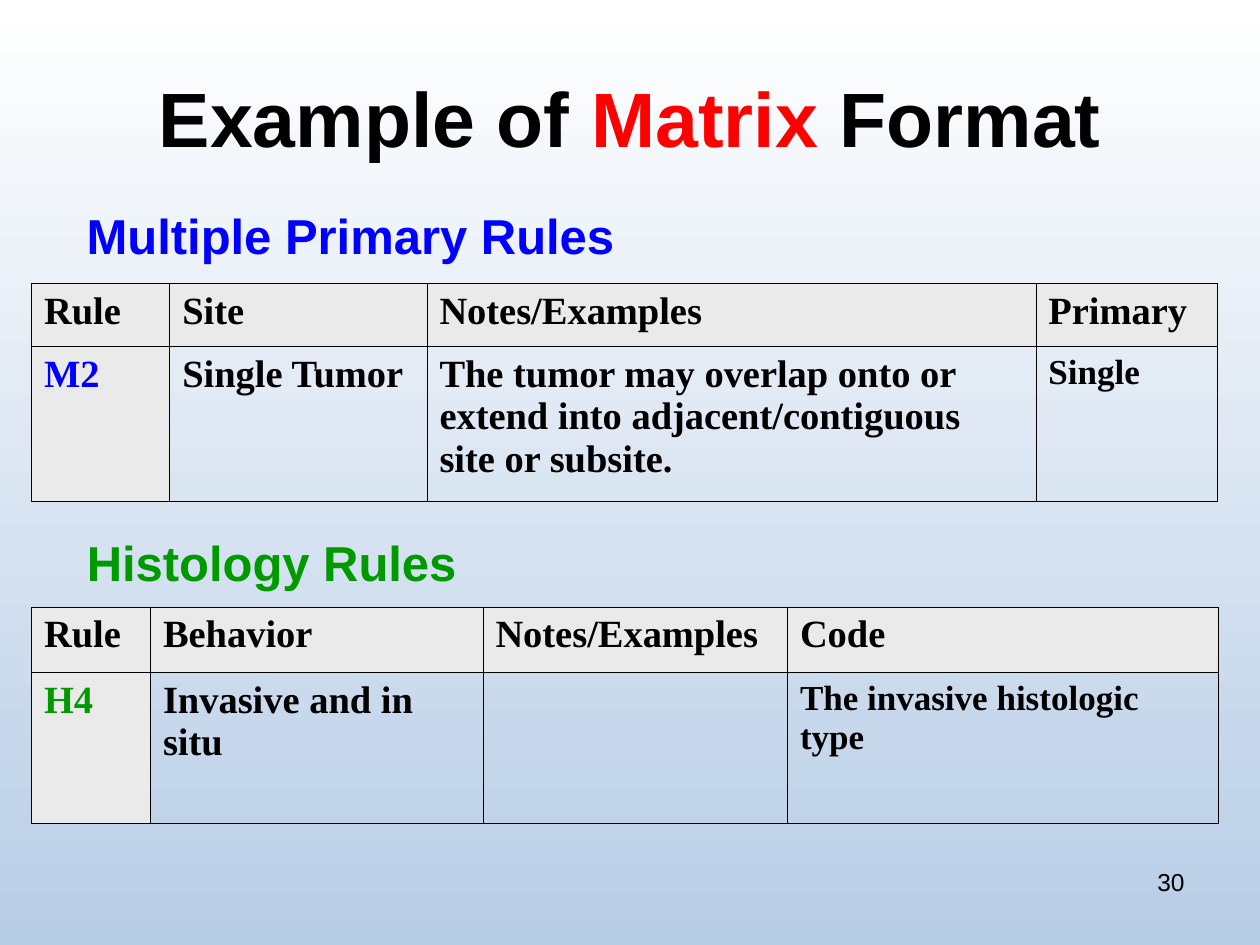
from dataclasses import dataclass

from lxml.etree import SubElement
from pptx import Presentation
from pptx.dml.color import RGBColor
from pptx.enum.text import MSO_ANCHOR, PP_ALIGN
from pptx.oxml.ns import qn
from pptx.util import Pt


@dataclass(frozen=True)
class Theme:
    heading_font: str = "Arial"
    table_font: str = "Times New Roman"
    ink: str = "000000"
    red: str = "FF0000"
    blue: str = "0000FF"
    green: str = "009900"
    header_fill: str = "EAEAEA"
    sky_top: str = "FFFFFF"
    sky_bottom: str = "B8CDE6"
    title_size: float = 44
    heading_size: float = 28
    cell_size: float = 22
    result_size: float = 20
    number_size: float = 14
    border: float = 0.45


THEME = Theme()


def add_span(para, text, font, size, color, bold=True):
    span = para.add_run()
    span.text = text
    span.font.name = font
    span.font.size = Pt(size)
    span.font.bold = bold
    span.font.color.rgb = RGBColor.from_string(color)


def add_text(page, area, spans, size, align=PP_ALIGN.LEFT,
             anchor=MSO_ANCHOR.TOP, wrap=True, bold=True):
    """Place one line of (text, color) spans in area: left, top, width, height."""
    box = page.shapes.add_textbox(*map(Pt, area))
    box.text_frame.word_wrap = wrap
    box.text_frame.vertical_anchor = anchor
    para = box.text_frame.paragraphs[0]
    para.alignment = align
    for text, color in spans:
        add_span(para, text, THEME.heading_font, size, color, bold)


def paint_background(page):
    fill = page.background.fill
    fill.gradient()
    fill.gradient_angle = 270
    for stop, color in zip(fill.gradient_stops, (THEME.sky_top, THEME.sky_bottom)):
        stop.color.rgb = RGBColor.from_string(color)
    fill.gradient_stops[0].position = 0
    fill.gradient_stops[1].position = 1


def add_borders(cell):
    properties = cell._tc.get_or_add_tcPr()
    for side in ("a:lnL", "a:lnR", "a:lnT", "a:lnB"):
        line = SubElement(properties, qn(side), w=str(Pt(THEME.border)))
        SubElement(SubElement(line, qn("a:solidFill")), qn("a:srgbClr"), val=THEME.ink)


def add_rule_table(page, area, columns, heights, rows, accent):
    """Shade the header row and rule column; the last column holds the result."""
    frame = page.shapes.add_table(len(rows), len(columns), *map(Pt, area))
    table = frame.table
    table.first_row = table.horz_banding = False
    for column, width in zip(table.columns, columns):
        column.width = Pt(width)
    for row, height in zip(table.rows, heights):
        row.height = Pt(height)
    for r, texts in enumerate(rows):
        for c, text in enumerate(texts):
            cell = table.cell(r, c)
            add_borders(cell)
            if r == 0 or c == 0:
                cell.fill.solid()
                cell.fill.fore_color.rgb = RGBColor.from_string(THEME.header_fill)
            else:
                cell.fill.background()
            if text:
                is_result = r > 0 and c == len(columns) - 1
                size = THEME.result_size if is_result else THEME.cell_size
                color = accent if r > 0 and c == 0 else THEME.ink
                add_span(cell.text_frame.paragraphs[0], text,
                         THEME.table_font, size, color)


def add_rule_section(page, heading, heading_area, accent, table_top, columns, heights, rows):
    add_text(page, heading_area, [(heading, accent)], THEME.heading_size, wrap=False)
    table_area = (18, table_top, sum(columns), sum(heights))
    add_rule_table(page, table_area, columns, heights, rows, accent)


def main():
    deck = Presentation()
    deck.slide_width, deck.slide_height = Pt(720), Pt(540)
    page = deck.slides.add_slide(deck.slide_layouts[6])
    paint_background(page)
    add_text(page, (36, 21.6, 648, 90),
             [("Example of ", THEME.ink), ("Matrix ", THEME.red), ("Format", THEME.ink)],
             THEME.title_size, PP_ALIGN.CENTER, MSO_ANCHOR.MIDDLE)
    add_rule_section(
        page, "Multiple Primary Rules", (42.5, 114, 316, 41), THEME.blue,
        162, (79, 147, 348, 104), (36, 88.5),
        [("Rule", "Site", "Notes/Examples", "Primary"),
         ("M2", "Single Tumor",
          "The tumor may overlap onto or extend into adjacent/contiguous site or subsite.",
          "Single")])
    add_rule_section(
        page, "Histology Rules", (42.5, 301, 226, 41), THEME.green,
        347, (68, 190, 174, 246), (37.5, 86),
        [("Rule", "Behavior", "Notes/Examples", "Code"),
         ("H4", "Invasive and in situ", "", "The invasive histologic type")])
    add_text(page, (516, 492, 168, 37.5), [("30", THEME.ink)],
             THEME.number_size, PP_ALIGN.RIGHT, bold=False)
    deck.save("out.pptx")


if __name__ == "__main__":
    main()
